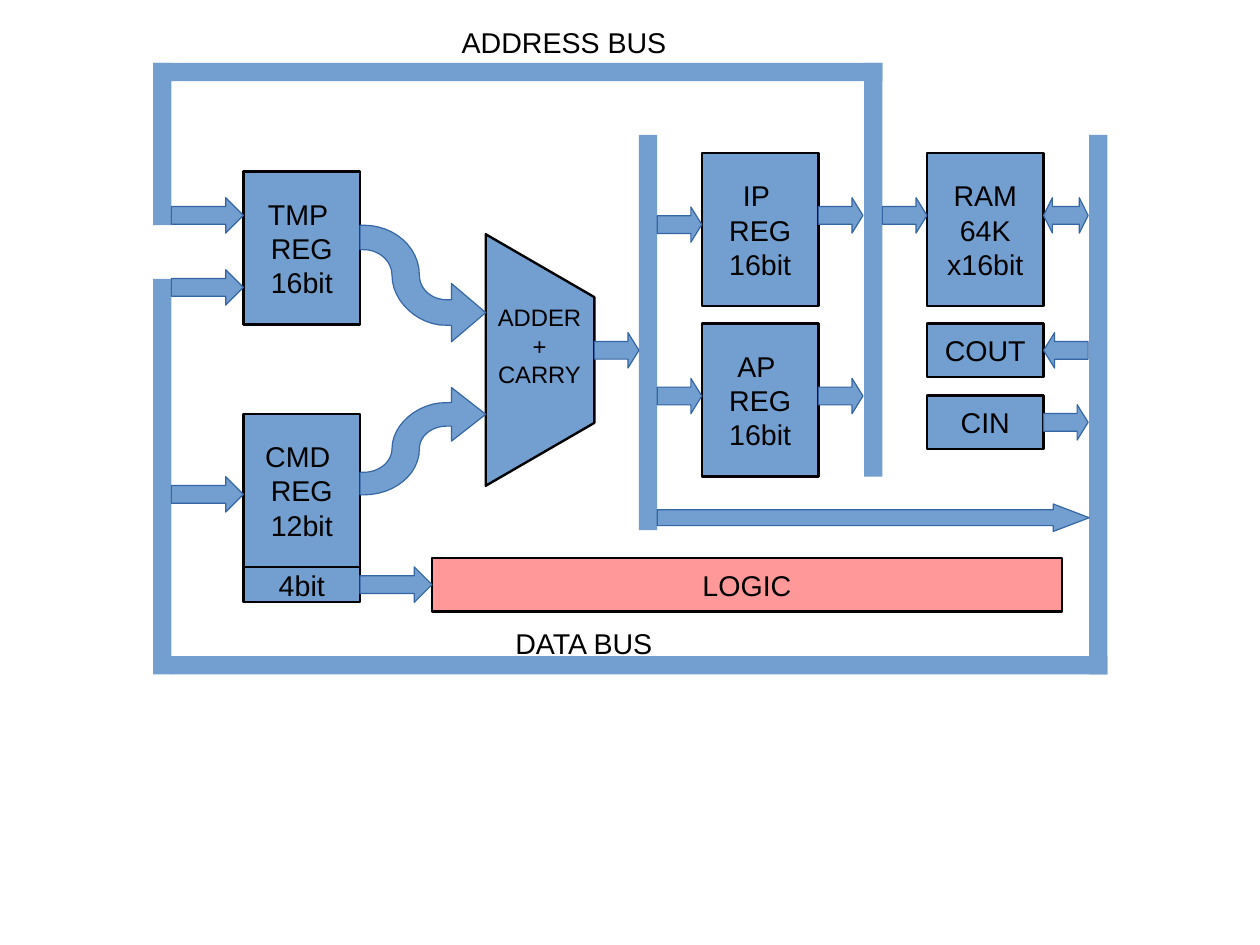
from dataclasses import dataclass

from pptx import Presentation
from pptx.dml.color import RGBColor
from pptx.enum.shapes import MSO_SHAPE as Shape
from pptx.enum.text import MSO_ANCHOR as Anchor, MSO_AUTO_SIZE as AutoSize, PP_ALIGN as Align
from pptx.util import Cm, Inches, Pt


@dataclass(frozen=True)
class Theme:
    font: str = "Arial"
    text_size: float = 18
    adder_size: float = 15
    text: str = "000000"
    blue: str = "729FCF"
    red: str = "FF9999"
    outline: str = "000000"
    outline_width: float = 1.5
    arrow_line: str = "3465A4"
    hairline: float = 0


THEME = Theme()
BLANK_LAYOUT = 6

# Columns and sizes, in inches
BUS = 0.16
LEFT_BUS, ADDER_BUS, ADDRESS_BUS, RIGHT_BUS = 1.34, 5.59, 7.56, 9.53
INPUT_COLUMN, REGISTER_COLUMN, DEVICE_COLUMN = 2.13, 6.14, 8.11
BOX_WIDTH, REGISTER_HEIGHT, PORT_HEIGHT = 1.02, 1.34, 0.47
INPUT_EXIT = INPUT_COLUMN + BOX_WIDTH
REGISTER_EXIT = REGISTER_COLUMN + BOX_WIDTH
DEVICE_EXIT = DEVICE_COLUMN + BOX_WIDTH
ADDER_LEFT, ADDER_RIGHT = 4.25, 5.2
ARROW_HEIGHT, SHORT_ARROW, LONG_ARROW = 0.31, 0.39, 0.63
CURVE_STEPS = 12

# left, top, width, height
BUSES = [
    (LEFT_BUS, 0.55, BUS, 1.42),
    (LEFT_BUS, 0.55, ADDRESS_BUS + BUS - LEFT_BUS, BUS),
    (ADDRESS_BUS, 0.55, BUS, 3.62),
    (ADDER_BUS, 1.18, BUS, 3.46),
    (RIGHT_BUS, 1.18, BUS, 4.72),
    (LEFT_BUS, 2.44, BUS, 3.46),
    (1.49, 5.74, 8.2, BUS),
]

# text, left, top, width, height, fill
BOXES = [
    ("TMP \nREG\n16bit", INPUT_COLUMN, 1.5, BOX_WIDTH, REGISTER_HEIGHT, THEME.blue),
    ("CMD \nREG\n12bit", INPUT_COLUMN, 3.62, BOX_WIDTH, REGISTER_HEIGHT, THEME.blue),
    ("4bit", INPUT_COLUMN, 4.96, BOX_WIDTH, 0.31, THEME.blue),
    ("IP \nREG\n16bit", REGISTER_COLUMN, 1.34, BOX_WIDTH, REGISTER_HEIGHT, THEME.blue),
    ("AP \nREG\n16bit", REGISTER_COLUMN, 2.83, BOX_WIDTH, REGISTER_HEIGHT, THEME.blue),
    ("RAM\n64K\nx16bit", DEVICE_COLUMN, 1.34, BOX_WIDTH, REGISTER_HEIGHT, THEME.blue),
    ("COUT", DEVICE_COLUMN, 2.83, BOX_WIDTH, PORT_HEIGHT, THEME.blue),
    ("CIN", DEVICE_COLUMN, 3.46, BOX_WIDTH, PORT_HEIGHT, THEME.blue),
    ("LOGIC", 3.78, 4.88, 5.51, PORT_HEIGHT, THEME.red),
]

# left, top
LONG_ARROWS = [
    (LEFT_BUS + BUS, 1.73),
    (LEFT_BUS + BUS, 2.36),
    (LEFT_BUS + BUS, 4.17),
    (INPUT_EXIT, 4.96),
]
SHORT_ARROWS = [
    (ADDER_RIGHT, 2.91),
    (ADDER_BUS + BUS, 1.81),
    (ADDER_BUS + BUS, 3.31),
    (REGISTER_EXIT, 1.73),
    (REGISTER_EXIT, 3.31),
    (ADDRESS_BUS + BUS, 1.73),
    (DEVICE_EXIT, 3.54),
]

ADDER_OUTLINE = [
    (ADDER_LEFT, 4.25), (ADDER_LEFT, 2.05), (ADDER_RIGHT, 2.6), (ADDER_RIGHT, 3.7),
]

# Width in inches, height as a share: two points are a line, four a Bezier curve
CURVED_ARROW = [
    [(0.76, 0.86), (0.5, 0.86), (0.28, 0.65), (0.28, 0.43)],
    [(0.28, 0.43), (0.28, 0.31), (0.17, 0.21), (0.03, 0.21)],
    [(0.03, 0.21), (0, 0.21)],
    [(0, 0.21), (0, 0)],
    [(0, 0), (0.03, 0)],
    [(0.03, 0), (0.3, 0), (0.52, 0.19), (0.52, 0.43)],
    [(0.52, 0.43), (0.52, 0.55), (0.63, 0.64), (0.76, 0.64)],
    [(0.76, 0.64), (0.8, 0.64)],
    [(0.8, 0.64), (0.8, 0.5)],
    [(0.8, 0.5), (1.1, 0.75)],
    [(1.1, 0.75), (0.8, 1)],
    [(0.8, 1), (0.8, 0.86)],
]
# start of the tail, signed height (negative rises)
CURVED_ARROWS = [(1.97, 1.02), (4.33, -0.94)]

# text, left, top, width, height, size, alignment
LABELS = [
    ("ADDER\n+\nCARRY", ADDER_LEFT, 2.6, 0.94, 0.94, THEME.adder_size, Align.CENTER),
    ("DATA BUS", 4.41, 5.43, 3.07, 0.38, THEME.text_size, Align.LEFT),
    ("ADDRESS BUS", 3.94, 0.17, 3.15, 0.38, THEME.text_size, Align.LEFT),
]


def paint(shape, fill, line=None, width=0):
    shape.shadow.inherit = False
    shape.fill.solid()
    shape.fill.fore_color.rgb = RGBColor.from_string(fill)
    if line is None:
        shape.line.fill.background()
    else:
        shape.line.color.rgb = RGBColor.from_string(line)
        shape.line.width = Pt(width)


def write(shape, text, size, alignment):
    shape.text_frame.text = text
    for paragraph in shape.text_frame.paragraphs:
        paragraph.alignment = alignment
        for run in paragraph.runs:
            run.font.name = THEME.font
            run.font.size = Pt(size)
            run.font.color.rgb = RGBColor.from_string(THEME.text)


def add_box(slide, text, left, top, width, height, fill):
    box = slide.shapes.add_shape(Shape.RECTANGLE, *map(Inches, (left, top, width, height)))
    paint(box, fill, THEME.outline, THEME.outline_width)
    box.text_frame.word_wrap = False
    box.text_frame.vertical_anchor = Anchor.MIDDLE
    write(box, text, THEME.text_size, Align.CENTER)


def add_arrow(slide, left, top, width, height=ARROW_HEIGHT, kind=Shape.RIGHT_ARROW,
              shaft=0.5, head=0.31):
    arrow = slide.shapes.add_shape(kind, *map(Inches, (left, top, width, height)))
    arrow.adjustments[0], arrow.adjustments[1] = shaft, head
    paint(arrow, THEME.blue, THEME.arrow_line, THEME.hairline)
    return arrow


def add_outline(slide, points, line, width):
    corners = [(Inches(x), Inches(y)) for x, y in points]
    builder = slide.shapes.build_freeform(*corners[0])
    builder.add_line_segments(corners[1:], close=True)
    paint(builder.convert_to_shape(), THEME.blue, line, width)


def segment_points(segment):
    """Points that follow the start of a line or cubic Bezier segment."""
    if len(segment) == 2:
        return segment[1:]
    points = []
    for step in range(1, CURVE_STEPS + 1):
        t = step / CURVE_STEPS
        weights = ((1 - t) ** 3, 3 * t * (1 - t) ** 2, 3 * t ** 2 * (1 - t), t ** 3)
        points.append(tuple(sum(w * p[axis] for w, p in zip(weights, segment))
                            for axis in (0, 1)))
    return points


def add_label(slide, text, left, top, width, height, size, alignment):
    label = slide.shapes.add_textbox(*map(Inches, (left, top, width, height)))
    label.text_frame.word_wrap = True
    label.text_frame.auto_size = AutoSize.SHAPE_TO_FIT_TEXT
    write(label, text, size, alignment)


def main():
    presentation = Presentation()
    presentation.slide_width = Cm(28)
    presentation.slide_height = Cm(21)
    slide = presentation.slides.add_slide(presentation.slide_layouts[BLANK_LAYOUT])

    for bus in BUSES:
        paint(slide.shapes.add_shape(Shape.RECTANGLE, *map(Inches, bus)), THEME.blue)
    add_outline(slide, ADDER_OUTLINE, THEME.outline, THEME.outline_width)
    for box in BOXES:
        add_box(slide, *box)

    curve = [point for segment in CURVED_ARROW for point in segment_points(segment)]
    for start, height in CURVED_ARROWS:
        points = [(INPUT_EXIT + x, start + y * height) for x, y in curve]
        add_outline(slide, points, THEME.arrow_line, THEME.hairline)
    for left, top in LONG_ARROWS:
        add_arrow(slide, left, top, LONG_ARROW, head=0.5)
    for left, top in SHORT_ARROWS:
        add_arrow(slide, left, top, SHORT_ARROW)
    add_arrow(slide, DEVICE_EXIT, 2.91, SHORT_ARROW).rotation = 180
    add_arrow(slide, DEVICE_EXIT, 1.73, SHORT_ARROW, kind=Shape.LEFT_RIGHT_ARROW, head=0.25)
    add_arrow(slide, ADDER_BUS + BUS, 4.41, RIGHT_BUS - ADDER_BUS - BUS, 0.24,
              shaft=0.58, head=1.31)

    for label in LABELS:
        add_label(slide, *label)
    presentation.save("out.pptx")


if __name__ == "__main__":
    main()
